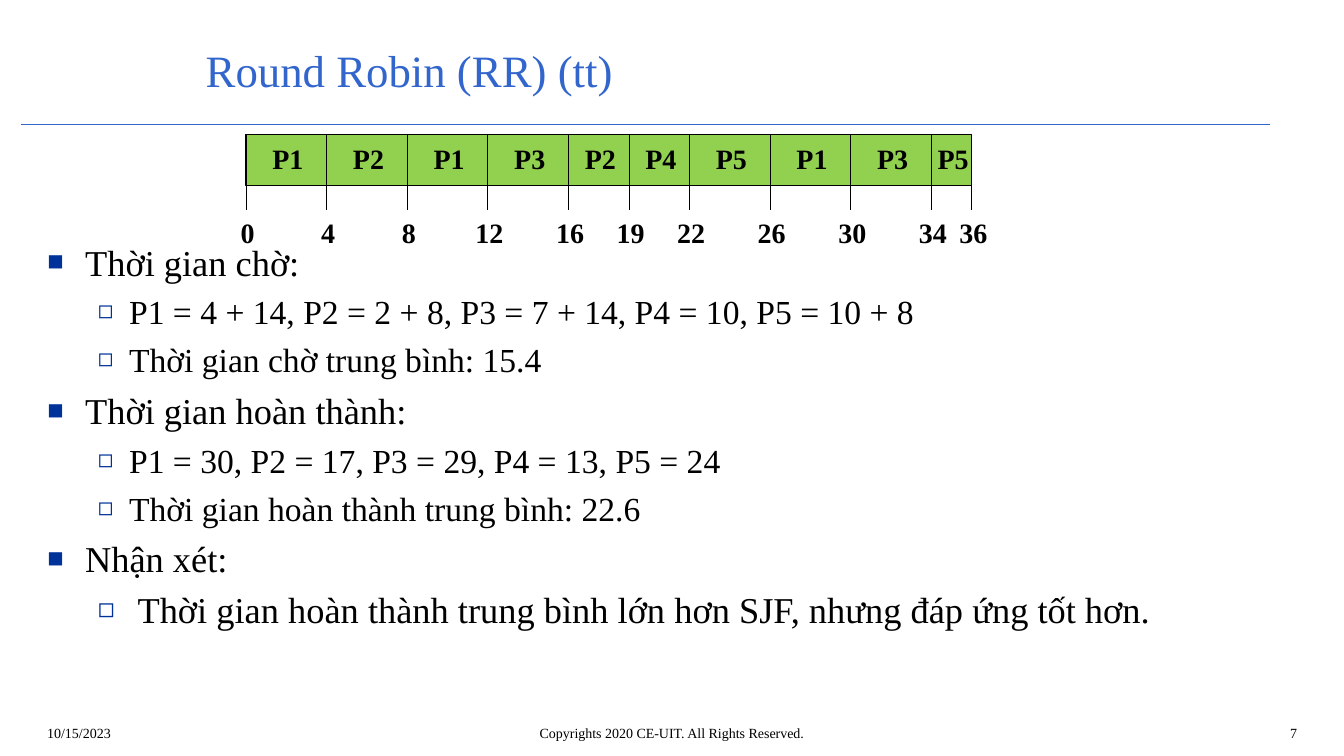
from itertools import accumulate
from lxml import etree
from pptx import Presentation
from pptx import util as u
from pptx.dml import color
from pptx.enum import shapes, text
from pptx.oxml import ns

Cm, Pt = u.Cm, u.Pt
HUES = {"head": "3366CC", "ink": "000000", "mark": "003399", "bar": "92D050"}
FACE = "Times New Roman"
LEFT, CENTER, RIGHT, JUST = (text.PP_ALIGN.LEFT, text.PP_ALIGN.CENTER,
                             text.PP_ALIGN.RIGHT, text.PP_ALIGN.JUSTIFY)

TURNS = [("P1", 4), ("P2", 4), ("P1", 4), ("P3", 4), ("P2", 3),
         ("P4", 3), ("P5", 4), ("P1", 4), ("P3", 4), ("P5", 2)]
START, TOP, UNIT = 6.2, 3.4, 0.508
HIGH, DROP = 1.27, 1.9
WIDE, TALL, SHIFT = 1.3, 1.12, 0.04

LEVELS = [
    {"mark": "■", "left": 0.95, "hang": 0.95, "gap": 6},
    {"mark": "◻", "left": 2.06, "hang": 0.79, "gap": 5.5},
]
NOTES = [
    (0, 26, "Thời gian chờ:"),
    (1, 24, "P1 = 4 + 14, P2 = 2 + 8, P3 = 7 + 14, P4 = 10, P5 = 10 + 8"),
    (1, 24, "Thời gian chờ trung bình: 15.4"),
    (0, 26, "Thời gian hoàn thành:"),
    (1, 24, "P1 = 30, P2 = 17, P3 = 29, P4 = 13, P5 = 24"),
    (1, 24, "Thời gian hoàn thành trung bình: 22.6"),
    (0, 26, "Nhận xét:"),
    (1, 26, " Thời gian hoàn thành trung bình lớn hơn SJF, nhưng đáp ứng tốt hơn."),
]
FOOT = [
    (0.94, 7.9, LEFT, "10/15/2023"),
    (6.53, 20.8, CENTER, "Copyrights 2020 CE-UIT. All Rights Reserved."),
    (26.44, 6.5, RIGHT, "7"),
]


def hue(name):
    return color.RGBColor.from_string(HUES[name])


def put(item, vals):
    for key, val in vals.items():
        setattr(item, key, val)


def place(item, left, top, width, height):
    put(item, {"left": Cm(left), "top": Cm(top),
               "width": Cm(width), "height": Cm(height)})


def write(para, words, size, tint="ink", bold=False):
    run = para.add_run()
    run.text = words
    put(run.font, {"size": Pt(size), "name": FACE, "bold": bold})
    run.font.color.rgb = hue(tint)


def label(slide, box, words, size, align, bold=False):
    frame = slide.shapes.add_textbox(*map(Cm, box)).text_frame
    frame.word_wrap = True
    para = frame.paragraphs[0]
    para.alignment = align
    write(para, words, size, bold=bold)


def rule(slide, x1, y1, x2, y2, tint):
    line = slide.shapes.add_connector(
        shapes.MSO_CONNECTOR.STRAIGHT, Cm(x1), Cm(y1), Cm(x2), Cm(y2))
    line.line.color.rgb = hue(tint)
    line.line.width = Pt(0.75)
    etree.SubElement(line._element.spPr, ns.qn("a:effectLst"))


def bullet(para, level):
    props = para._p.get_or_add_pPr()
    props.set("marL", str(Cm(level["left"])))
    props.set("indent", str(-Cm(level["hang"])))
    tint = etree.SubElement(props, ns.qn("a:buClr"))
    etree.SubElement(tint, ns.qn("a:srgbClr"), val=HUES["mark"])
    etree.SubElement(props, ns.qn("a:buSzPct"), val="75000")
    etree.SubElement(props, ns.qn("a:buFont"), typeface=FACE)
    etree.SubElement(props, ns.qn("a:buChar"), char=level["mark"])


def title(slide):
    head = slide.shapes.title
    place(head, 4.93, 0.79, 27.23, 1.93)
    put(head.text_frame, {"vertical_anchor": text.MSO_ANCHOR.MIDDLE,
                          "auto_size": text.MSO_AUTO_SIZE.NONE})
    para = head.text_frame.paragraphs[0]
    para.alignment = LEFT
    write(para, "Round Robin (RR) (tt)", 32, "head")


def notes(slide):
    body = slide.placeholders[1]
    place(body, 0.94, 5.92, 32, 11.4)
    frame = body.text_frame
    frame.auto_size = text.MSO_AUTO_SIZE.NONE
    for i, (depth, size, words) in enumerate(NOTES):
        para = frame.add_paragraph() if i else frame.paragraphs[0]
        level = LEVELS[depth]
        bullet(para, level)
        put(para, {"level": depth, "alignment": JUST,
                   "space_before": Pt(level["gap"] if i else 0)})
        write(para, words, size)


def chart(slide):
    times = list(accumulate((span for _, span in TURNS), initial=0))
    bar = slide.shapes.add_shape(
        shapes.MSO_SHAPE.RECTANGLE, Cm(START), Cm(TOP),
        Cm(times[-1] * UNIT), Cm(HIGH))
    bar.shadow.inherit = False
    bar.fill.solid()
    bar.fill.fore_color.rgb = hue("bar")
    bar.line.color.rgb = hue("ink")
    bar.line.width = Pt(0.75)

    def tag(time, top, words):
        left = START + time * UNIT - WIDE / 2 + SHIFT
        label(slide, (left, top, WIDE, TALL), words, 20, CENTER, True)

    for time in times:
        x = START + time * UNIT
        rule(slide, x, TOP, x, TOP + DROP, "ink")
        tag(time, TOP + DROP, str(time))
    for time, (name, span) in zip(times, TURNS):
        tag(time + span / 2, TOP + 0.05, name)


def main():
    deck = Presentation()
    put(deck, {"slide_width": Cm(33.87), "slide_height": Cm(19.05)})
    slide = deck.slides.add_slide(deck.slide_layouts[1])
    rule(slide, 0.53, 3.13, 32, 3.13, "head")
    title(slide)
    notes(slide)
    for left, width, align, words in FOOT:
        label(slide, (left, 18.13, width, 0.8), words, 10, align)
    chart(slide)
    deck.save("out.pptx")


if __name__ == "__main__":
    main()
